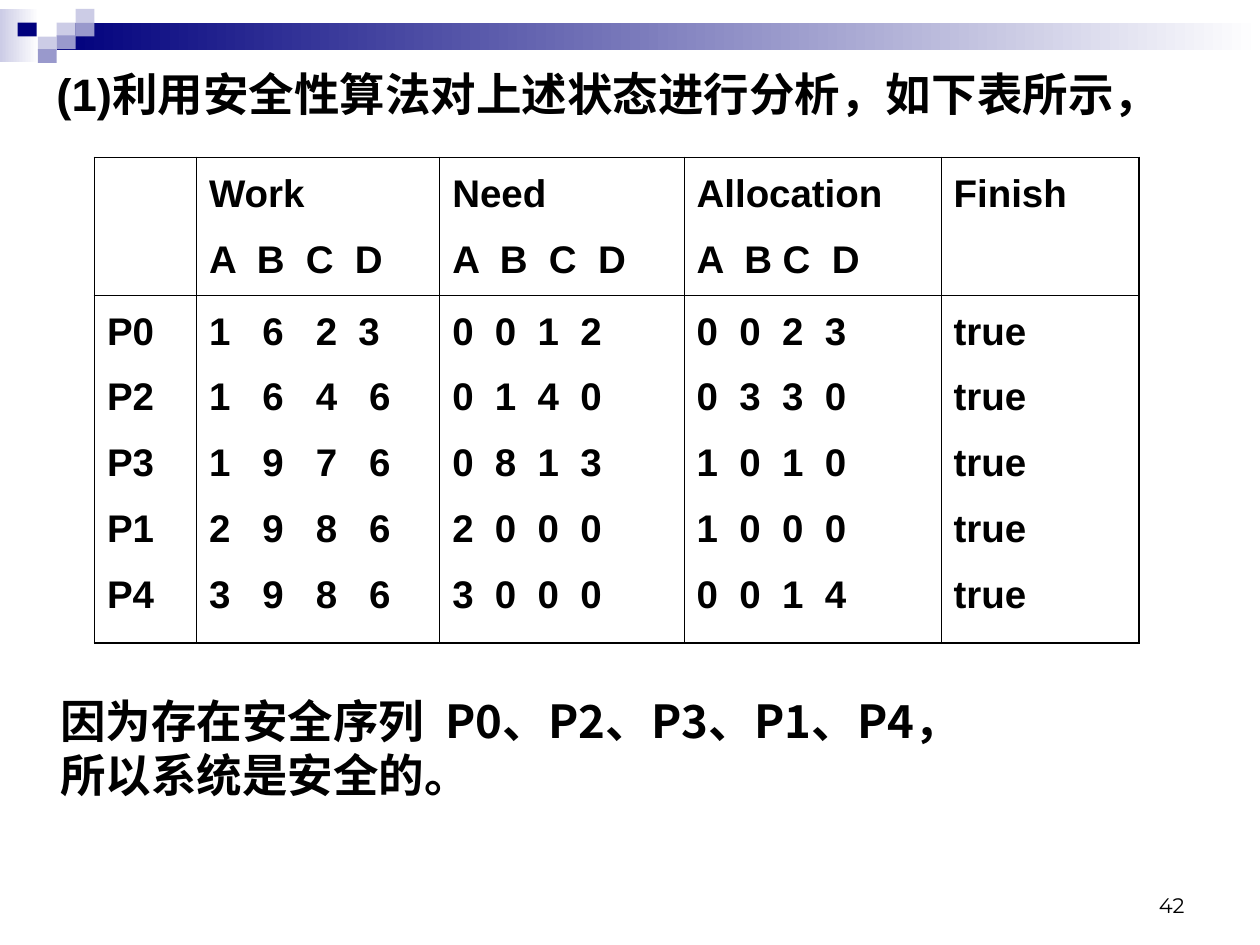
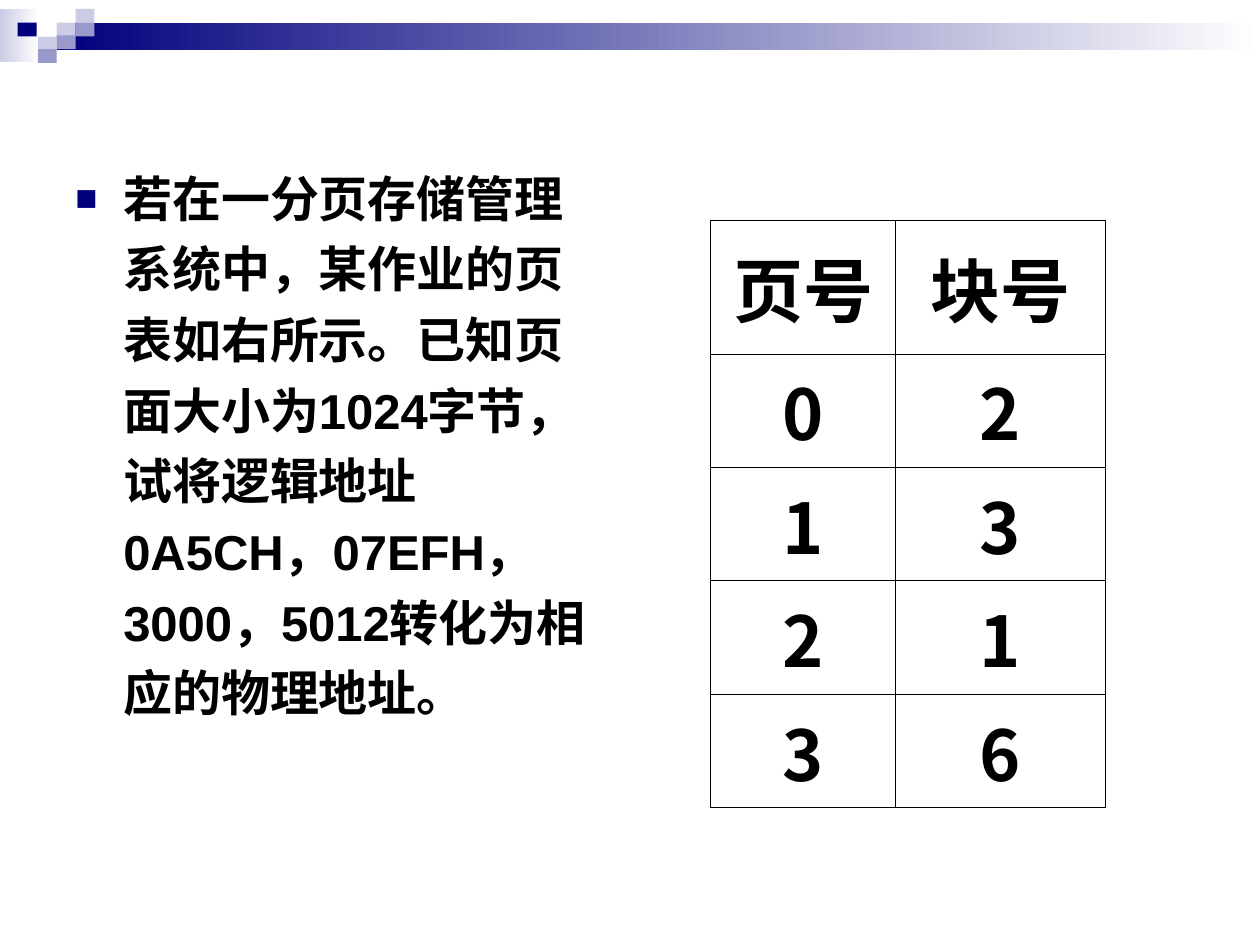
import pptx
import pptx.dml.color
import pptx.enum.shapes
import pptx.enum.text
import pptx.oxml
import pptx.oxml.ns
import pptx.util
from pptx.util import Inches

NAVY, LILAC, LAVENDER = "00007D", "9999CC", "CCCCE6"
BLACK, WHITE = "000000", "FFFFFF"
LATIN, CHINESE, NUMBER = "Arial", "Noto Sans CJK SC", "Montserrat"
THIN, THICK = 0.45, 1.08
ALIGN = pptx.enum.text.PP_ALIGN
ANCHOR = pptx.enum.text.MSO_ANCHOR


def rgb(color):
    return pptx.dml.color.RGBColor.from_string(color)


def add_xml(parent, tag, content="", **attributes):
    """Append one DrawingML element to parent."""
    written = "".join(f' {name}="{value}"' for name, value in attributes.items())
    namespace = pptx.oxml.ns.nsdecls("a")
    parent.append(pptx.oxml.parse_xml(f"<a:{tag} {namespace}{written}>{content}</a:{tag}>"))


def color_xml(color):
    return f'<a:srgbClr val="{color}"/>'


def write(frame, text, size, font=LATIN, bold=True, align=ALIGN.LEFT,
          spacing=None, gap=0, bullet=None):
    """Fill a text frame, one paragraph a line; gap is the points above and below."""
    frame.word_wrap = True
    frame.text = text
    for index, paragraph in enumerate(frame.paragraphs):
        if bullet:
            properties = paragraph._p.get_or_add_pPr()
            properties.set("marL", str(Inches(0.38)))
            properties.set("indent", str(-Inches(0.38)))
            add_xml(properties, "buClr", color_xml(NAVY))
            add_xml(properties, "buSzPct", val=75000)
            add_xml(properties, "buFont", typeface=LATIN)
            add_xml(properties, "buChar", char=bullet)
        paragraph.alignment = align
        if spacing:
            paragraph.line_spacing = spacing
        paragraph.space_before = pptx.util.Pt(gap if index else 0)
        paragraph.space_after = pptx.util.Pt(gap)
        for run in paragraph.runs:
            run.font.size = pptx.util.Pt(size)
            run.font.bold = bold
            run.font.color.rgb = rgb(BLACK)
            run.font.name = font
            add_xml(run._r.get_or_add_rPr(), "ea", typeface=CHINESE)


def add_text(slide, left, top, width, height, text, size, anchor=ANCHOR.TOP, **style):
    box = slide.shapes.add_textbox(Inches(left), Inches(top), Inches(width), Inches(height))
    box.text_frame.vertical_anchor = anchor
    write(box.text_frame, text, size, **style)


def add_block(group, left, top, width, height, color, fade=False):
    """Add a rectangle that is plain or fades to white on the right."""
    block = group.shapes.add_shape(pptx.enum.shapes.MSO_SHAPE.RECTANGLE,
                                   Inches(left), Inches(top), Inches(width), Inches(height))
    block.shadow.inherit = False
    block.line.fill.background()
    if fade:
        block.fill.gradient()
        block.fill.gradient_angle = 0
        for stop, position, stop_color in zip(block.fill.gradient_stops, (0, 1), (color, WHITE)):
            stop.position = position
            stop.color.rgb = rgb(stop_color)
    else:
        block.fill.solid()
        block.fill.fore_color.rgb = rgb(color)


def add_band(layout, slide):
    """Draw the band of squares and move it to the layout, which all slides share."""
    band = slide.shapes.add_group_shape()
    add_block(band, 0, 0.07, 0.31, 0.42, LAVENDER, fade=True)
    add_block(band, 0.45, 0.18, 9.55, 0.22, NAVY, fade=True)
    squares = [(0.45, 0.18, LAVENDER), (0.6, 0.07, LAVENDER), (0.6, 0.18, LILAC),
               (0.3, 0.29, LAVENDER), (0.14, 0.18, NAVY), (0.45, 0.28, LILAC),
               (0.3, 0.39, LILAC)]
    for left, top, color in squares:
        add_block(band, left, top, 0.15, 0.11, color)
    layout.shapes.element.append(band.element)


def set_borders(cell, left, right, top, bottom):
    properties = cell._tc.get_or_add_tcPr()
    for side, points in zip("LRTB", (left, right, top, bottom)):
        add_xml(properties, f"ln{side}", f"<a:solidFill>{color_xml(BLACK)}</a:solidFill>",
                w=int(pptx.util.Pt(points)))


def add_table(slide, left, top, widths, heights, rows, size, outline,
              anchor=ANCHOR.TOP, **style):
    frame = slide.shapes.add_table(len(heights), len(widths), Inches(left), Inches(top),
                                   Inches(sum(widths)), Inches(sum(heights)))
    table = frame.table
    table.first_row = table.horz_banding = False
    for column, width in zip(table.columns, widths):
        column.width = Inches(width)
    for row, height in zip(table.rows, heights):
        row.height = Inches(height)
    last_row, last_column = len(heights) - 1, len(widths) - 1
    for row_index, row in enumerate(rows):
        for column_index, text in enumerate(row):
            cell = table.cell(row_index, column_index)
            edges = (column_index == 0, column_index == last_column,
                     row_index == 0, row_index == last_row)
            set_borders(cell, *(outline if edge else THIN for edge in edges))
            cell.fill.background()
            cell.vertical_anchor = anchor
            if text:
                write(cell.text_frame, text, size, **style)


def build_safety_slide(slide):
    add_text(slide, 0.35, 0.36, 9.37, 0.8, "(1)利用安全性算法对上述状态进行分析，如下表所示，",
             26, spacing=pptx.util.Pt(39.5))
    header = ["", "Work\nA  B  C  D", "Need\nA  B  C  D", "Allocation\nA  B C  D", "Finish"]
    processes = [
        ("P0", "1   6   2  3", "0  0  1  2", "0  0  2  3", "true"),
        ("P2", "1   6   4   6", "0  1  4  0", "0  3  3  0", "true"),
        ("P3", "1   9   7   6", "0  8  1  3", "1  0  1  0", "true"),
        ("P1", "2   9   8   6", "2  0  0  0", "1  0  0  0", "true"),
        ("P4", "3   9   8   6", "3  0  0  0", "0  0  1  4", "true"),
    ]
    body = ["\n".join(column) for column in zip(*processes)]
    add_table(slide, 0.75, 1.25, [0.81, 1.93, 1.94, 2.04, 1.57], [1.09, 2.76],
              [header, body], 22, THICK, spacing=1.2, gap=4.1)
    add_text(slide, 0.38, 5.45, 8.31, 0.97,
             "因为存在安全序列  P0、P2、P3、P1、P4，\n所以系统是安全的。",
             26, font=CHINESE, spacing=pptx.util.Pt(31))
    add_text(slide, 7.17, 6.83, 2.33, 0.5, "42", 12, anchor=ANCHOR.BOTTOM,
             font=NUMBER, bold=False, align=ALIGN.RIGHT)


def build_paging_slide(slide):
    add_text(slide, 0.5, 1.19, 4.42, 5.75,
             "若在一分页存储管理系统中，某作业的页表如右所示。已知页面大小为1024字节，"
             "试将逻辑地址0A5CH，07EFH，3000，5012转化为相应的物理地址。",
             28, spacing=pptx.util.Pt(40.4), bullet="■")
    page_table = [("页号", "块号"), ("0", "2"), ("1", "3"), ("2", "1"), ("3", "6")]
    add_table(slide, 5.64, 1.75, [1.47, 1.66], [1.06] + [0.9] * 4, page_table, 40, THIN,
              anchor=ANCHOR.MIDDLE, font=CHINESE, align=ALIGN.CENTER,
              spacing=pptx.util.Pt(57.5))


def main():
    presentation = pptx.Presentation()
    presentation.slide_width, presentation.slide_height = Inches(10), Inches(7.5)
    blank = presentation.slide_layouts[6]
    safety_slide = presentation.slides.add_slide(blank)
    add_band(blank, safety_slide)
    build_safety_slide(safety_slide)
    build_paging_slide(presentation.slides.add_slide(blank))
    presentation.save("out.pptx")


if __name__ == "__main__":
    main()
